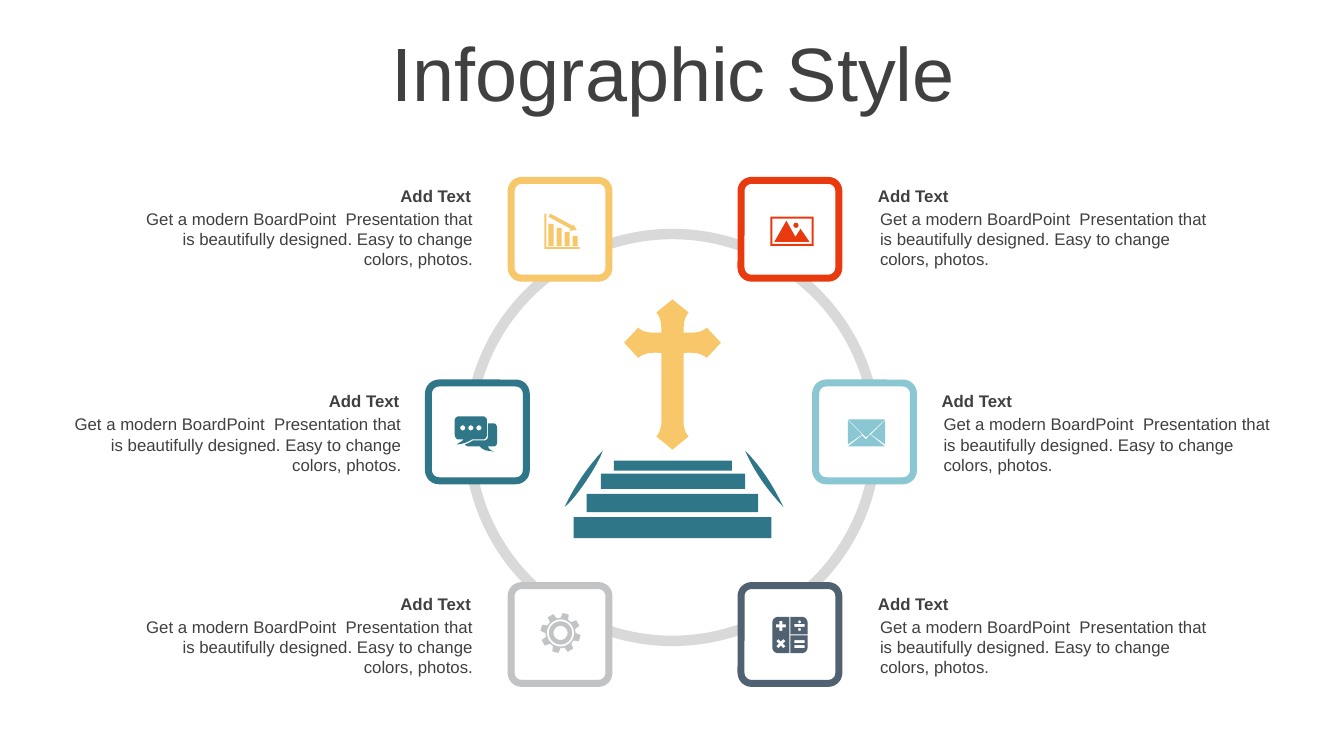
"""Build the "Infographic Style" slide: six framed icons on a ring around a cross."""
from math import cos, pi, radians, sin

from lxml.etree import SubElement
from pptx import Presentation
from pptx.dml.color import RGBColor
from pptx.enum.shapes import MSO_SHAPE
from pptx.enum.text import MSO_ANCHOR, MSO_AUTO_SIZE, PP_ALIGN
from pptx.util import Inches, Pt

COLORS = {
    "gold": "F7C76A", "red": "E93A0F", "silver": "C1C3C4", "slate": "506272",
    "teal": "307689", "sky": "8AC7D3", "ring": "D9D9D9", "text": "404040", "white": "FFFFFF",
}
FONT = "Arial"
TITLE = "Infographic Style"
LABEL = "Add Text"
BODY = ("Get a modern BoardPoint  Presentation that is beautifully designed. "
        "Easy to change colors, photos.")
SQUARE = 0.97
ROWS = {"top": (1.79, 1.79), "middle": (3.8, 3.83), "bottom": (5.81, 5.84)}
ITEMS = [
    ("top", 5.07, "gold", 1.28, "right"),
    ("top", 7.35, "red", 8.61, "left"),
    ("bottom", 5.07, "silver", 1.28, "right"),
    ("bottom", 7.35, "slate", 8.61, "left"),
    ("middle", 4.25, "teal", 0.57, "right"),
    ("middle", 8.09, "sky", 9.24, "left"),
]
ALIGN = {"left": (PP_ALIGN.LEFT, 3.54), "right": (PP_ALIGN.RIGHT, 3.49)}


def rect(left, top, width, height):
    right, bottom = left + width, top + height
    return [(left, top), (right, top), (right, bottom), (left, bottom)]


def disc(cx, cy, radius, count=40):
    return [(cx + radius * cos(2 * pi * i / count), cy + radius * sin(2 * pi * i / count))
            for i in range(count)]


def curve(*steps):
    """Turn points (2 numbers) and cubic curves (6 numbers) into one outline."""
    pts = [steps[0]]
    for step in steps[1:]:
        if len(step) == 2:
            pts.append(step)
            continue
        x0, y0 = pts[-1]
        x1, y1, x2, y2, x3, y3 = step
        for i in range(1, 9):
            t = i / 8
            a, b, c, d = (1 - t) ** 3, 3 * t * (1 - t) ** 2, 3 * t * t * (1 - t), t ** 3
            pts.append((a * x0 + b * x1 + c * x2 + d * x3, a * y0 + b * y1 + c * y2 + d * y3))
    return pts


def mirror(half, axis):
    return half + [(2 * axis - x, y) for x, y in reversed(half)]


def gear(cx, cy, teeth=8):
    corners = [(-15, 0.15), (-9, 0.2), (9, 0.2), (15, 0.15)]
    return [(cx + r * cos(radians(360 / teeth * i - 75 + turn)),
             cy + r * sin(radians(360 / teeth * i - 75 + turn)))
            for i in range(teeth) for turn, r in corners]


def turned(cx, cy, pts):
    k = cos(pi / 4)
    return [(cx + k * (x - y), cy + k * (x + y)) for x, y in pts]


def plus(arm, half):
    return [(-half, -arm), (half, -arm), (half, -half), (arm, -half), (arm, half), (half, half),
            (half, arm), (-half, arm), (-half, half), (-arm, half), (-arm, -half), (-half, -half)]


ENVELOPE = [
    [(8.63, 4.31), (8.78, 4.43), (8.41, 4.43), (8.55, 4.32), (8.59, 4.36)],
    [(8.78, 4.17), (8.78, 4.41), (8.64, 4.31)],
    [(8.41, 4.17), (8.55, 4.31), (8.41, 4.41)],
    [(8.41, 4.16), (8.78, 4.16), (8.59, 4.34)],
]
BARS = [rect(5.44 + 0.08 * i, 2.22 + 0.04 * i, 0.05, 0.22 - 0.04 * i) for i in range(4)] + [
    [(5.46, 2.12), (5.68, 2.24), (5.69, 2.23), (5.72, 2.28), (5.65, 2.29), (5.66, 2.27), (5.44, 2.15)],
    [(5.4, 2.12), (5.42, 2.12), (5.42, 2.45), (5.75, 2.45), (5.75, 2.47), (5.4, 2.47)],
]
CALCULATOR = [
    curve((7.83, 6.12), (7.83, 6.3), (7.66, 6.3), (7.66, 6.18), (7.66, 6.15, 7.68, 6.12, 7.72, 6.12)),
    curve((7.84, 6.12), (7.95, 6.12), (7.99, 6.12, 8.01, 6.15, 8.01, 6.18), (8.01, 6.295), (7.84, 6.295)),
    curve((7.84, 6.305), (8.01, 6.305), (8.01, 6.42), (8.01, 6.45, 7.99, 6.48, 7.95, 6.48), (7.84, 6.48)),
    curve((7.66, 6.305), (7.83, 6.305), (7.83, 6.48), (7.72, 6.48), (7.68, 6.48, 7.66, 6.45, 7.66, 6.42)),
    [(7.745 + x, 6.21 + y) for x, y in plus(0.05, 0.015)],
    turned(7.745, 6.385, plus(0.05, 0.015)),
    disc(7.93, 6.17, 0.015), disc(7.93, 6.245, 0.015),
] + [rect(7.88, top, 0.1, 0.03) for top in (6.19, 6.35, 6.4)]
CHAT = [disc(x, 4.245, 0.025) for x in (4.59, 4.67, 4.75)] + [
    curve((4.84, 4.2), (4.89, 4.2), (4.92, 4.2, 4.93, 4.22, 4.93, 4.25), (4.93, 4.39),
          (4.93, 4.41, 4.92, 4.43, 4.89, 4.43), (4.84, 4.43), (4.85, 4.45, 4.85, 4.46, 4.9, 4.48),
          (4.82, 4.47, 4.8, 4.47, 4.76, 4.43), (4.65, 4.43), (4.64, 4.43, 4.62, 4.42, 4.61, 4.41),
          (4.64, 4.4, 4.66, 4.39, 4.69, 4.37), (4.8, 4.37), (4.83, 4.37, 4.84, 4.35, 4.84, 4.32)),
    curve((4.55, 4.13), (4.79, 4.13), (4.81, 4.13, 4.83, 4.15, 4.83, 4.17), (4.83, 4.31),
          (4.83, 4.34, 4.81, 4.36, 4.79, 4.36), (4.68, 4.36), (4.63, 4.39, 4.61, 4.4, 4.53, 4.41),
          (4.57, 4.38, 4.58, 4.38, 4.6, 4.36), (4.55, 4.36), (4.53, 4.36, 4.51, 4.34, 4.51, 4.31),
          (4.51, 4.17), (4.51, 4.15, 4.53, 4.13, 4.55, 4.13)),
]
GEAR = [gear(5.56, 6.28)] + [disc(5.56, 6.28, r) for r in (0.135, 0.115, 0.07)]
PHOTO = [
    rect(7.64, 2.15, 0.43, 0.29), rect(7.66, 2.17, 0.39, 0.25), disc(7.895, 2.235, 0.025),
    [(7.8, 2.19), (7.89, 2.35), (7.94, 2.27), (8.03, 2.4), (7.68, 2.4)],
]
CROSS = [mirror(curve(
    (6.67, 2.97), (6.83, 3.1), (6.78, 3.16, 6.78, 3.23, 6.78, 3.3), (6.86, 3.3, 6.95, 3.31, 7.01, 3.25),
    (7.15, 3.4), (7.01, 3.55), (6.94, 3.49, 6.86, 3.5, 6.78, 3.5), (6.78, 4.21),
    (6.79, 4.26, 6.8, 4.3, 6.83, 4.33), (6.67, 4.46)), 6.67)]
STAIRS = [rect(5.69, 5.13, 1.96, 0.21), rect(5.82, 4.9, 1.7, 0.18), rect(5.96, 4.7, 1.43, 0.15),
          rect(6.09, 4.57, 1.17, 0.1),
          curve((7.39, 4.47), (7.55, 4.63, 7.67, 4.82, 7.77, 5.03), (7.61, 4.86, 7.48, 4.68, 7.39, 4.47)),
          curve((5.98, 4.47), (5.93, 4.62, 5.7, 4.96, 5.6, 5.03), (5.7, 4.82, 5.83, 4.63, 5.98, 4.47))]
DRAWINGS = [(ENVELOPE, "sky"), (BARS, "gold"), (CALCULATOR, "slate"), (CHAT, "teal"),
            (GEAR, "silver"), (PHOTO, "red"), (CROSS, "gold"), (STAIRS, "teal")]


def rgb(name):
    return RGBColor.from_string(COLORS[name])


def paint(sp, fill, line=None):
    sp.shadow.inherit = False
    sp.fill.solid()
    sp.fill.fore_color.rgb = rgb(fill)
    if line:
        sp.line.color.rgb = rgb(line)
        sp.line.width = Pt(5)
    else:
        sp.line.fill.background()


def add_preset(s, kind, box, adj, fill, line=None):
    sp = s.shapes.add_shape(kind, *map(Inches, box))
    sp.adjustments[0] = adj
    paint(sp, fill, line)


def add_drawing(s, outlines, color):
    emu = [[(Inches(x), Inches(y)) for x, y in pts] for pts in outlines]
    fb = s.shapes.build_freeform(*emu[0][0], scale=1.0)
    fb.add_line_segments(emu[0][1:], close=True)
    for pts in emu[1:]:
        fb.move_to(*pts[0])
        fb.add_line_segments(pts[1:], close=True)
    paint(fb.convert_to_shape(), color)


def write(p, text, align, size, bold=False):
    p.alignment = align
    r = p.add_run()
    r.text = text
    for key, value in {"name": FONT, "size": Pt(size), "bold": bold}.items():
        setattr(r.font, key, value)
    r.font.color.rgb = rgb("text")


def add_text(s, box, text, align, bold=False):
    tf = s.shapes.add_textbox(*map(Inches, box)).text_frame
    tf.word_wrap = True
    tf.auto_size = MSO_AUTO_SIZE.SHAPE_TO_FIT_TEXT
    write(tf.paragraphs[0], text, align, 12, bold)


def main():
    prs = Presentation()
    prs.slide_width, prs.slide_height = Inches(13.33), Inches(7.5)
    s = prs.slides.add_slide(prs.slide_layouts[5])
    title = s.shapes.title
    title.left, title.top, title.width, title.height = map(Inches, (0.35, 0.37, 12.66, 0.79))
    tf = title.text_frame
    tf.word_wrap, tf.auto_size, tf.vertical_anchor = True, MSO_AUTO_SIZE.NONE, MSO_ANCHOR.MIDDLE
    tf.paragraphs[0].line_spacing = 0.9
    write(tf.paragraphs[0], TITLE, PP_ALIGN.CENTER, 54)

    add_preset(s, MSO_SHAPE.DONUT, (4.6, 2.27, 4.14, 4.14), 0.025, "ring")
    for row, left, color, text_left, side in ITEMS:
        top, text_top = ROWS[row]
        align, width = ALIGN[side]
        add_preset(s, MSO_SHAPE.ROUNDED_RECTANGLE, (left, top, SQUARE, SQUARE), 0.107, "white", color)
        add_text(s, (text_left, text_top, width, 0.3), LABEL, align, True)
        add_text(s, (text_left + 0.02, text_top + 0.23, width, 0.71), BODY, align)
    for outlines, color in DRAWINGS:
        add_drawing(s, outlines, color)
    prs.save("out.pptx")


if __name__ == "__main__":
    main()
